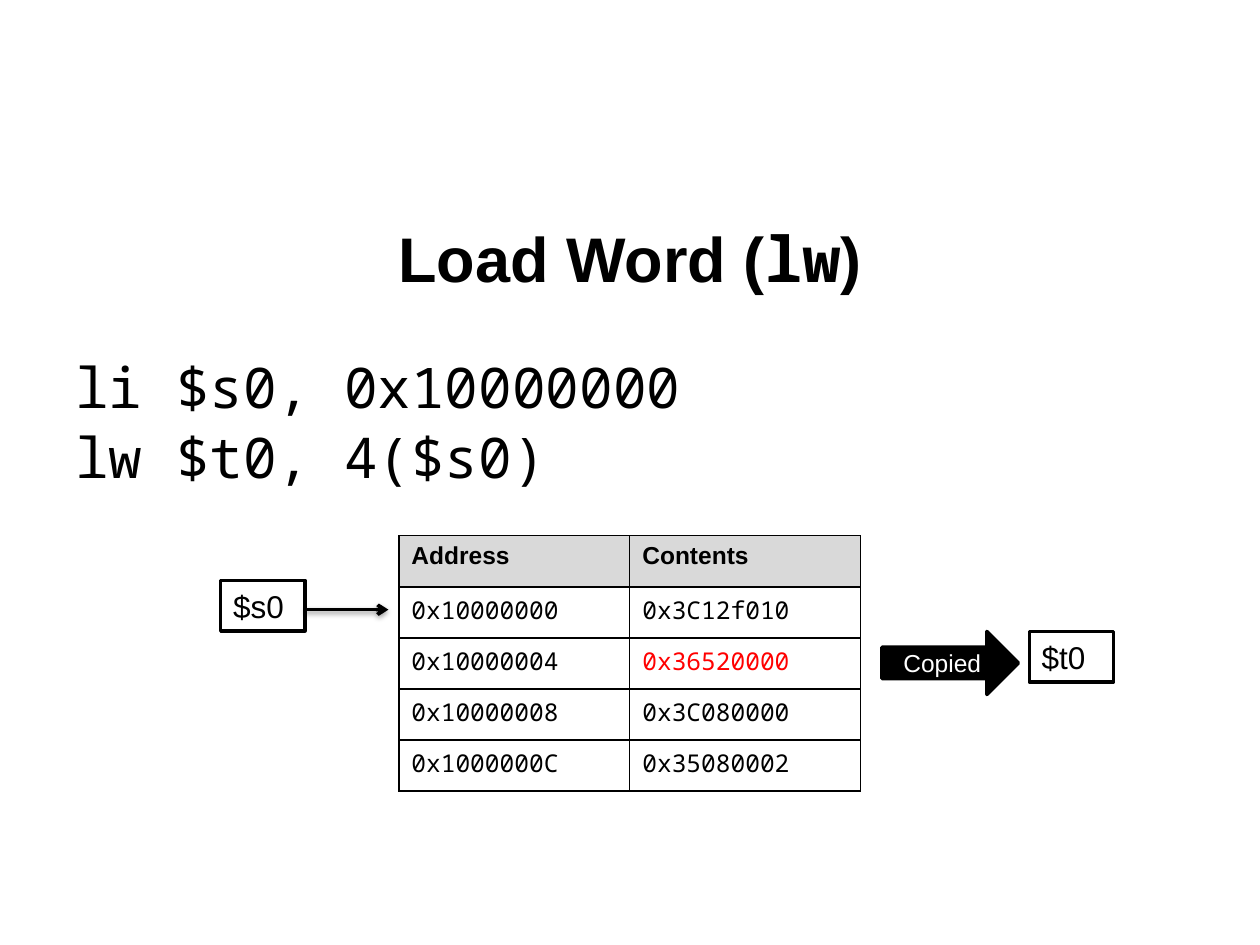
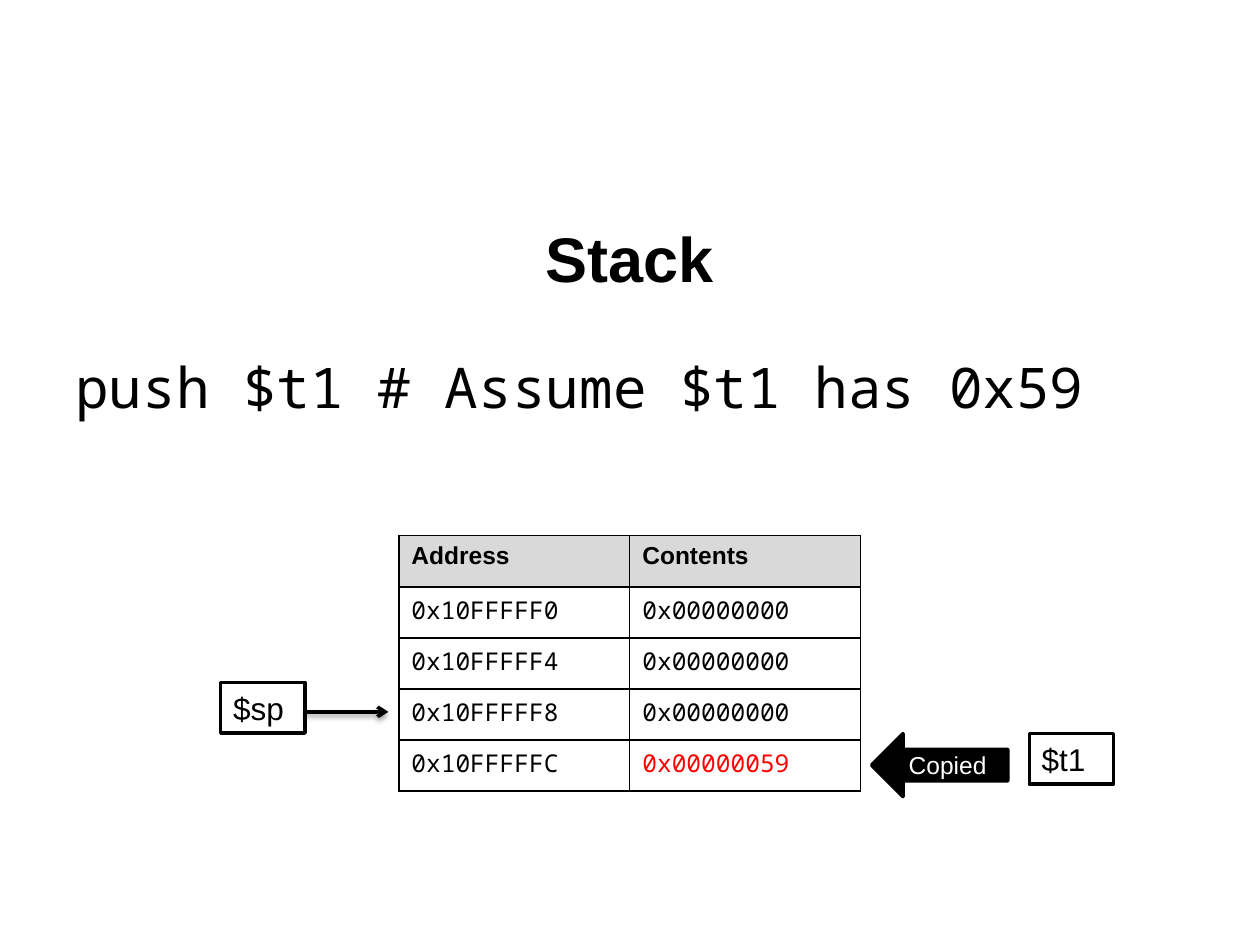
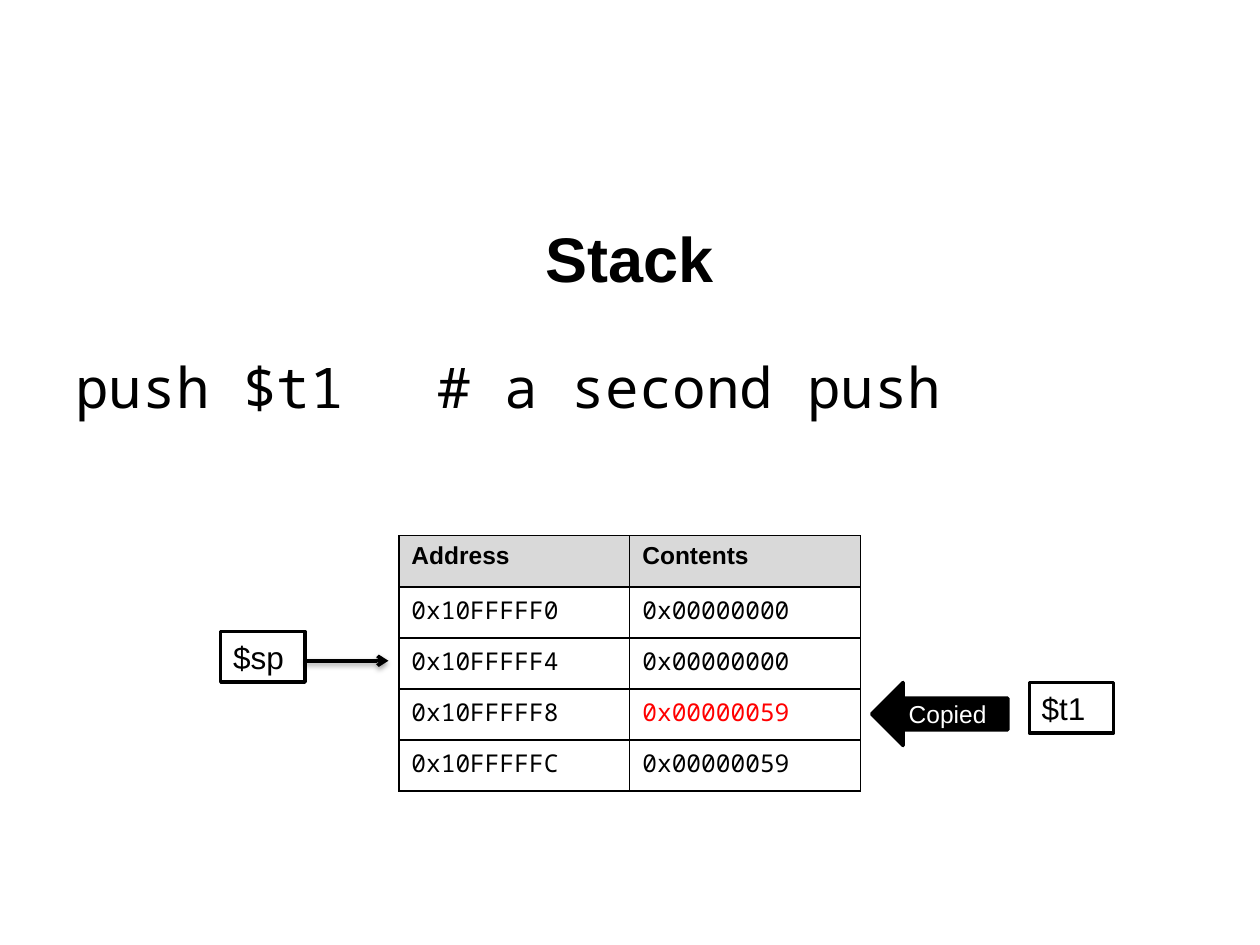
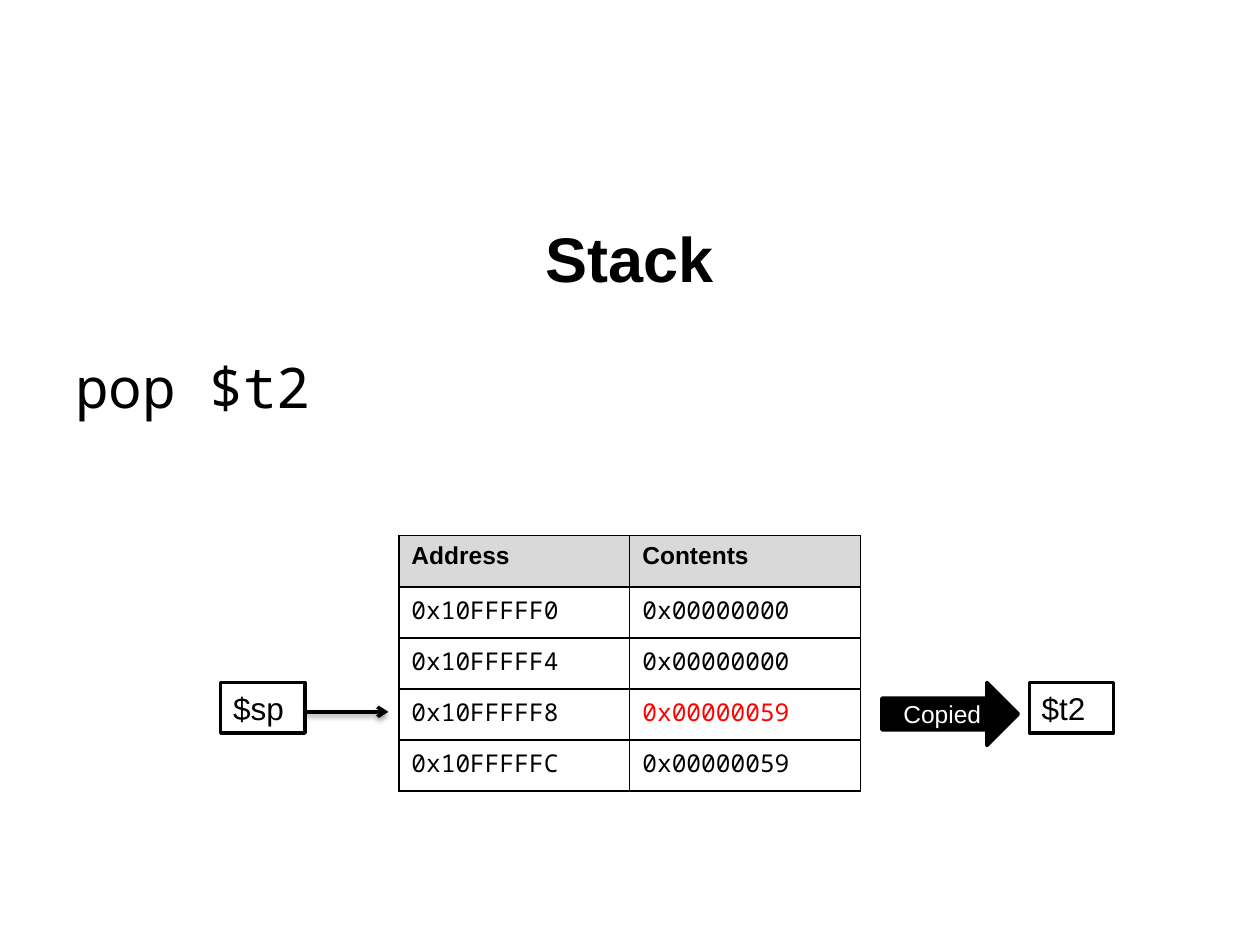
from lxml import etree
from pptx import Presentation
from pptx.dml.color import RGBColor
from pptx.enum.shapes import MSO_CONNECTOR, MSO_SHAPE
from pptx.enum.text import MSO_ANCHOR, MSO_AUTO_SIZE, PP_ALIGN
from pptx.oxml import parse_xml
from pptx.oxml.ns import nsdecls, qn
from pptx.util import Cm, Pt

BLACK = RGBColor(0x00, 0x00, 0x00)
WHITE = RGBColor(0xFF, 0xFF, 0xFF)
GREY = RGBColor(0xD9, 0xD9, 0xD9)
RED = RGBColor(0xFF, 0x00, 0x00)
SANS = "Arial"
MONO = "Noto Sans Mono"

RECT = MSO_SHAPE.RECTANGLE
RIGHT = MSO_SHAPE.RIGHT_ARROW
LEFT = MSO_SHAPE.LEFT_ARROW
STRAIGHT = MSO_CONNECTOR.STRAIGHT
CENTER = PP_ALIGN.CENTER
ALIGN_LEFT = PP_ALIGN.LEFT
TOP = MSO_ANCHOR.TOP
MIDDLE = MSO_ANCHOR.MIDDLE
GROW = MSO_AUTO_SIZE.SHAPE_TO_FIT_TEXT

TITLE_BOX = (Cm(1.27), Cm(3.6), Cm(22.86), Cm(3.18))
CODE_BOX = (Cm(1.27), Cm(6.99), Cm(22.86), Cm(3.38))
TABLE_BOX = (Cm(8.04), Cm(10.8), Cm(9.31), Cm(5.15))
ROW_HEIGHT = Cm(1.03)
REGISTER_SIZE = (Cm(1.7), Cm(1.02))
COPY_SIZE = (Cm(2.75), Cm(1.27))
POINTER_X = Cm(4.45)
TARGET_X = Cm(20.75)
COPY_X = {RIGHT: Cm(17.78), LEFT: Cm(17.57)}

STACK = ["0x10FFFFF0", "0x10FFFFF4", "0x10FFFFF8", "0x10FFFFFC"]
ZERO = "0x00000000"
PUSHED = "0x00000059"


def style(r, size, font=SANS, color=BLACK, bold=False):
    r.font.size = Pt(size)
    r.font.name = font
    r.font.color.rgb = color
    r.font.bold = bold


def add_title(s, box, parts):
    tf = s.shapes.add_textbox(*box).text_frame
    tf.word_wrap = True
    tf.vertical_anchor = MIDDLE
    p = tf.paragraphs[0]
    p.alignment = CENTER
    for text, font in parts:
        r = p.add_run()
        r.text = text
        style(r, 36, font, bold=True)


def add_code(s, box, lines):
    tf = s.shapes.add_textbox(*box).text_frame
    tf.word_wrap = True
    tf.text = "\n".join(lines)
    for i, p in enumerate(tf.paragraphs):
        pPr = p._p.get_or_add_pPr()
        pPr.set("marL", str(Cm(0.95)))
        pPr.set("indent", str(-Cm(0.95)))
        if i:
            p.space_before = Pt(1.5)
        style(p.runs[0], 32, MONO)


def add_borders(cell):
    tcPr = cell._tc.get_or_add_tcPr()
    for side in ("lnL", "lnR", "lnT", "lnB"):
        tcPr.append(parse_xml(
            f'<a:{side} {nsdecls("a")} w="{Pt(1)}"><a:solidFill>'
            f'<a:srgbClr val="{BLACK}"/></a:solidFill></a:{side}>'))


def add_memory(s, box, rows, marked):
    cells = [("Address", "Contents")] + rows
    table = s.shapes.add_table(len(cells), 2, *box).table
    for i, values in enumerate(cells):
        table.rows[i].height = ROW_HEIGHT
        for j, value in enumerate(values):
            cell = table.cell(i, j)
            add_borders(cell)
            cell.text = value
            r = cell.text_frame.paragraphs[0].runs[0]
            if i == 0:
                cell.fill.solid()
                cell.fill.fore_color.rgb = GREY
                style(r, 14, bold=True)
            else:
                cell.fill.background()
                style(r, 14, MONO, RED if (i, j) == (marked, 1) else BLACK)


def add_outlined(s, kind, box, text, size, color, align, anchor):
    sp = s.shapes.add_shape(kind, *box)
    sp.shadow.inherit = False
    sp.line.color.rgb = BLACK
    sp.line.width = Pt(2)
    tf = sp.text_frame
    tf.text = text
    tf.vertical_anchor = anchor
    p = tf.paragraphs[0]
    p.alignment = align
    style(p.runs[0], size, color=color)
    return sp


def add_register(s, box, name):
    sp = add_outlined(s, RECT, box, name, 18, BLACK, ALIGN_LEFT, TOP)
    sp.fill.background()
    sp.text_frame.auto_size = GROW


def add_pointer(s, box, name):
    add_register(s, box, name)
    left, top, width, height = box
    x, y = left + width, top + Cm(0.59)
    line = s.shapes.add_connector(STRAIGHT, x, y, x + Cm(1.68), y)
    line.line.color.rgb = BLACK
    line.line.width = Pt(2)
    etree.SubElement(line.line._get_or_add_ln(), qn("a:tailEnd"), type="arrow")
    line._element.spPr.append(parse_xml(
        f'<a:effectLst {nsdecls("a")}><a:outerShdw blurRad="{Pt(3.1)}" '
        f'dist="{Pt(1.6)}" dir="5400000" rotWithShape="0">'
        f'<a:srgbClr val="{BLACK}"><a:alpha val="38000"/></a:srgbClr>'
        f'</a:outerShdw></a:effectLst>'))


def add_copy_arrow(s, box, kind):
    sp = add_outlined(s, kind, box, "Copied", 14, WHITE, CENTER, MIDDLE)
    sp.fill.solid()
    sp.fill.fore_color.rgb = BLACK
    sp.text_frame.word_wrap = False


def add_memory_slide(prs, title, code, rows, pointer, pointed, target, copied, kind):
    s = prs.slides.add_slide(prs.slide_layouts[6])
    add_title(s, TITLE_BOX, title)
    add_code(s, CODE_BOX, code)
    add_memory(s, TABLE_BOX, rows, copied)

    def label_top(row):
        return TABLE_BOX[1] + row * ROW_HEIGHT - Cm(0.13)

    add_pointer(s, (POINTER_X, label_top(pointed), *REGISTER_SIZE), pointer)
    add_register(s, (TARGET_X, label_top(copied), *REGISTER_SIZE), target)
    add_copy_arrow(s, (COPY_X[kind], label_top(copied), *COPY_SIZE), kind)


def add_stack_slide(prs, code, contents, pointed, target, copied, kind):
    add_memory_slide(prs, [("Stack", SANS)], [code], list(zip(STACK, contents)),
                     "$sp", pointed, target, copied, kind)


prs = Presentation()
prs.slide_width = Cm(25.4)
prs.slide_height = Cm(19.05)

add_memory_slide(
    prs,
    [("Load Word (", SANS), ("lw", MONO), (")", SANS)],
    ["li $s0, 0x10000000", "lw $t0, 4($s0)"],
    [("0x10000000", "0x3C12f010"), ("0x10000004", "0x36520000"),
     ("0x10000008", "0x3C080000"), ("0x1000000C", "0x35080002")],
    "$s0", 1, "$t0", 2, RIGHT)
add_stack_slide(prs, "push $t1 # Assume $t1 has 0x59",
                [ZERO, ZERO, ZERO, PUSHED], 3, "$t1", 4, LEFT)
add_stack_slide(prs, "push $t1\t\t# a second push",
                [ZERO, ZERO, PUSHED, PUSHED], 2, "$t1", 3, LEFT)
add_stack_slide(prs, "pop $t2",
                [ZERO, ZERO, PUSHED, PUSHED], 3, "$t2", 3, RIGHT)

prs.save("out.pptx")
